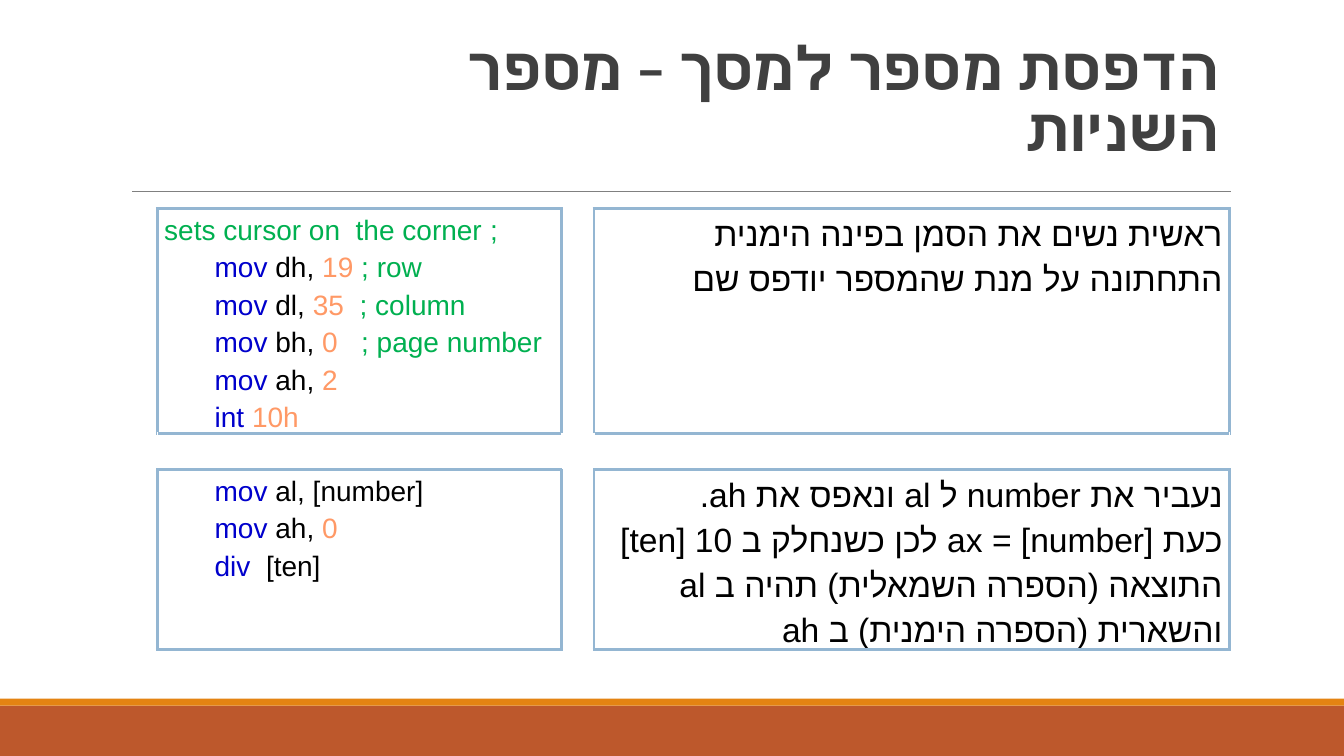
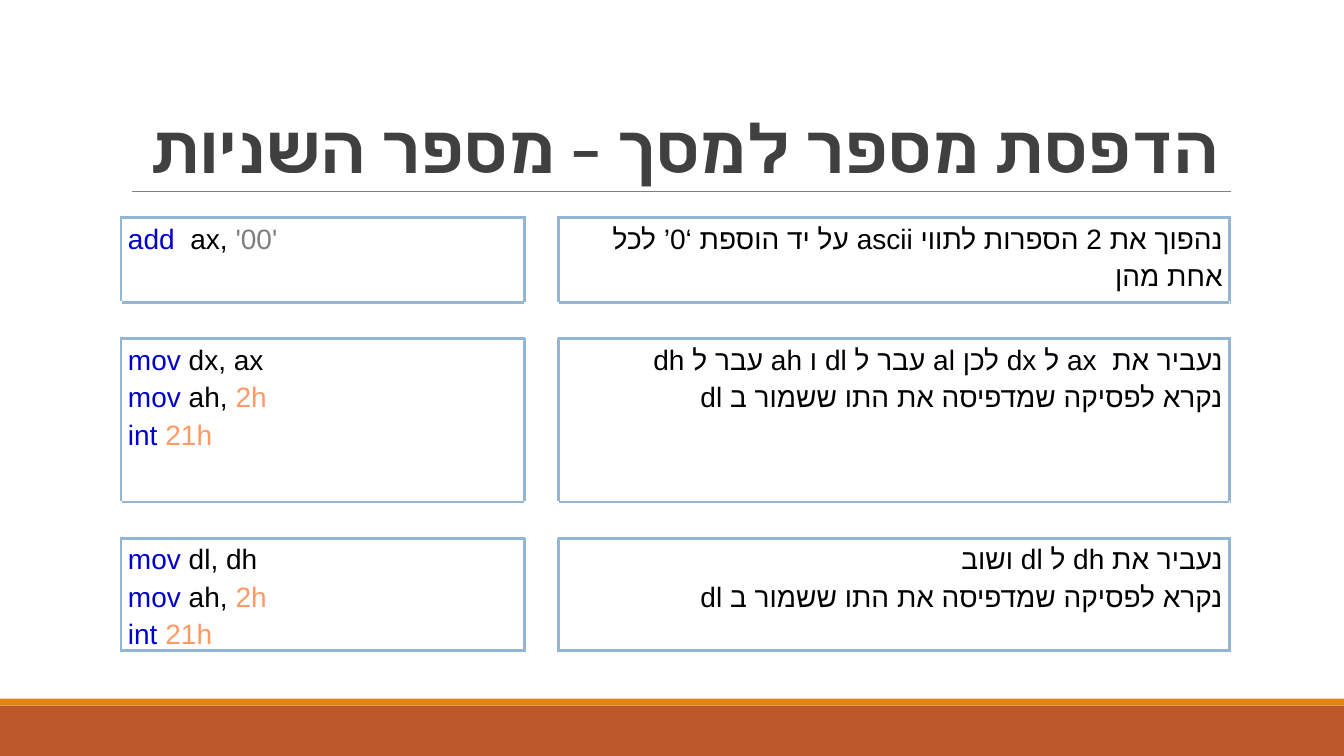
import pptx
import pptx.util
import pptx.dml.color
import pptx.enum.shapes
import pptx.enum.text
import pptx.oxml
import pptx.oxml.ns
import lxml.etree

Pt = pptx.util.Pt
RGB = pptx.dml.color.RGBColor
ALIGN = pptx.enum.text.PP_ALIGN

RUST = RGB(0xBD, 0x58, 0x2C)
AMBER = RGB(0xE4, 0x83, 0x12)
RULE = RGB(0x80, 0x80, 0x80)
DARK = RGB(0x40, 0x40, 0x40)
FRAME = RGB(0x94, 0xB6, 0xD2)
BLACK = RGB(0x00, 0x00, 0x00)
BLUE = RGB(0x00, 0x00, 0xCC)
PEACH = RGB(0xFF, 0x99, 0x66)
GREEN = RGB(0x00, 0xB0, 0x50)
GREY = RGB(0x7F, 0x7F, 0x7F)

CODE = (BLUE, BLACK, PEACH, GREEN, GREY)
TITLE = "הדפסת מספר למסך – מספר השניות"
PRINT = "נקרא לפסיקה שמדפיסה את התו ששמור ב dl"


class Deck:
    def __init__(self):
        self.prs = pptx.Presentation()
        self.prs.slide_width = Pt(960)
        self.prs.slide_height = Pt(540)
        self.slide = None

    def start(self, box, size):
        self.slide = self.prs.slides.add_slide(self.prs.slide_layouts[5])
        self.band(504, 36, RUST)
        self.band(499, 5, AMBER)
        self.rule(94.5, 879, 137)
        self.title(box, size)

    def band(self, top, height, color):
        kind = pptx.enum.shapes.MSO_SHAPE.RECTANGLE
        band = self.slide.shapes.add_shape(kind, 0, Pt(top), Pt(960), Pt(height))
        band.shadow.inherit = False
        band.fill.solid()
        band.fill.fore_color.rgb = color
        band.line.fill.background()

    def rule(self, left, right, top):
        kind = pptx.enum.shapes.MSO_CONNECTOR.STRAIGHT
        rule = self.slide.shapes.add_connector(kind, Pt(left), Pt(top), Pt(right), Pt(top))
        rule.line.color.rgb = RULE
        rule.line.width = Pt(0.5)
        lxml.etree.SubElement(rule._element.spPr, pptx.oxml.ns.qn("a:effectLst"))

    def title(self, box, size):
        title = self.slide.shapes.title
        title.left, title.top, title.width, title.height = map(Pt, box)
        frame = title.text_frame
        frame.text = TITLE
        frame.word_wrap = True
        frame.auto_size = pptx.enum.text.MSO_AUTO_SIZE.NONE
        frame.vertical_anchor = pptx.enum.text.MSO_ANCHOR.BOTTOM
        para = frame.paragraphs[0]
        self.para(para, ALIGN.RIGHT, True, 0.85)
        run = para.runs[0]
        self.style(run, "Calibri", size, DARK)
        run.font.bold = True
        run._r.get_or_add_rPr().set("spc", "-50")

    def para(self, para, align, rtl, space):
        para.alignment = align
        para.line_spacing = space
        if rtl:
            para._p.get_or_add_pPr().set("rtl", "1")

    def style(self, run, face, size, color):
        run.font.name = face
        run.font.size = Pt(size)
        run.font.color.rgb = color
        mark = lxml.etree.SubElement(run._r.get_or_add_rPr(), pptx.oxml.ns.qn("a:cs"))
        mark.set("typeface", face)

    def table(self, left, top, cols, rows, pairs, indent=0, size=20):
        shape = self.slide.shapes.add_table(
            len(rows), len(cols), Pt(left), Pt(top), Pt(sum(cols)), Pt(sum(rows)))
        table = shape.table
        table.first_row = table.horz_banding = False
        for col, width in zip(table.columns, cols):
            col.width = Pt(width)
        for row, height in zip(table.rows, rows):
            row.height = Pt(height)
        for r in range(len(rows)):
            for c in range(len(cols)):
                self.cell(table.cell(r, c), r % 2 == 0, c % 2 == 0)
        for i, (code, notes) in enumerate(pairs):
            self.code(table.cell(2 * i, 0), code, indent)
            self.notes(table.cell(2 * i, 2), notes, size)

    def cell(self, cell, sides, ends):
        cell.margin_left = cell.margin_right = Pt(5)
        cell.margin_top = cell.margin_bottom = 0
        cell.fill.background()
        props = cell._tc.get_or_add_tcPr()
        edges = [s for s, on in zip("LRTB", (sides, sides, ends, ends)) if on]
        for i, side in enumerate(edges):
            props.insert(i, pptx.oxml.parse_xml(
                f'<a:ln{side} {pptx.oxml.ns.nsdecls("a")} w="{Pt(2.25)}">'
                f'<a:solidFill><a:srgbClr val="{FRAME}"/></a:solidFill></a:ln{side}>'))

    def lines(self, cell, count):
        frame = cell.text_frame
        for _ in range(count - 1):
            frame.add_paragraph()
        return frame.paragraphs

    def code(self, cell, code, indent):
        for para, line in zip(self.lines(cell, len(code)), code):
            self.para(para, ALIGN.LEFT, not line[0], 1.2)
            if indent and line[0]:
                para.level = 1
                props = para._p.get_or_add_pPr()
                props.set("marL", str(Pt(indent)))
                props.set("indent", "0")
            for text, color in zip(line, CODE):
                if text:
                    run = para.add_run()
                    run.text = text
                    self.style(run, "Arial", 20, color)

    def notes(self, cell, notes, size):
        for para, text in zip(self.lines(cell, len(notes)), notes):
            run = para.add_run()
            run.text = text
            self.para(para, ALIGN.RIGHT, True, 1.2)
            self.style(run, "Arial", size, BLACK)


def main():
    deck = Deck()

    deck.start((191.5, 22.5, 687, 98.5), 43.2)
    deck.table(112.3, 149, (289, 23, 454), (157, 26, 122.4), [
        ([("", "", "", "; sets cursor on  the corner"),
          ("mov", " dh, ", "19 ", "; row"),
          ("mov", " dl, ", "35  ", "; column"),
          ("mov", " bh, ", "0   ", "; page number"),
          ("mov", " ah, ", "2"),
          ("int ", "", "10h")],
         ["ראשית נשים את הסמן בפינה הימנית התחתונה על מנת שהמספר יודפס שם"]),
        ([("mov", " al, [number]"),
          ("mov", " ah, ", "0"),
          ("div", "  [ten]")],
         ["נעביר את number ל al ונאפס את ah.",
          "כעת [number] = ax לכן כשנחלק ב 10 [ten] התוצאה (הספרה השמאלית) "
          "תהיה ב al והשארית (הספרה הימנית) ב ah"]),
    ], indent=36, size=24)

    show = [("mov", " ah, ", "2h"), ("int ", "", "21h")]
    deck.start((86.4, 22.5, 792, 114.5), 48)
    deck.table(86.4, 155.5, (288, 24.5, 479.5), (60.5, 26, 116.6, 26, 77.8), [
        ([("add", "  ax, ", "", "", "'00'")],
         ["נהפוך את 2 הספרות לתווי ascii על יד הוספת ‘0’ לכל אחת מהן"]),
        ([("mov", " dx, ax")] + show,
         ["נעביר את  ax ל dx לכן al עבר ל dl ו ah עבר ל dh", PRINT]),
        ([("mov", " dl, dh")] + show,
         ["נעביר את dh ל dl ושוב", PRINT]),
    ])

    deck.prs.save("out.pptx")


if __name__ == "__main__":
    main()
